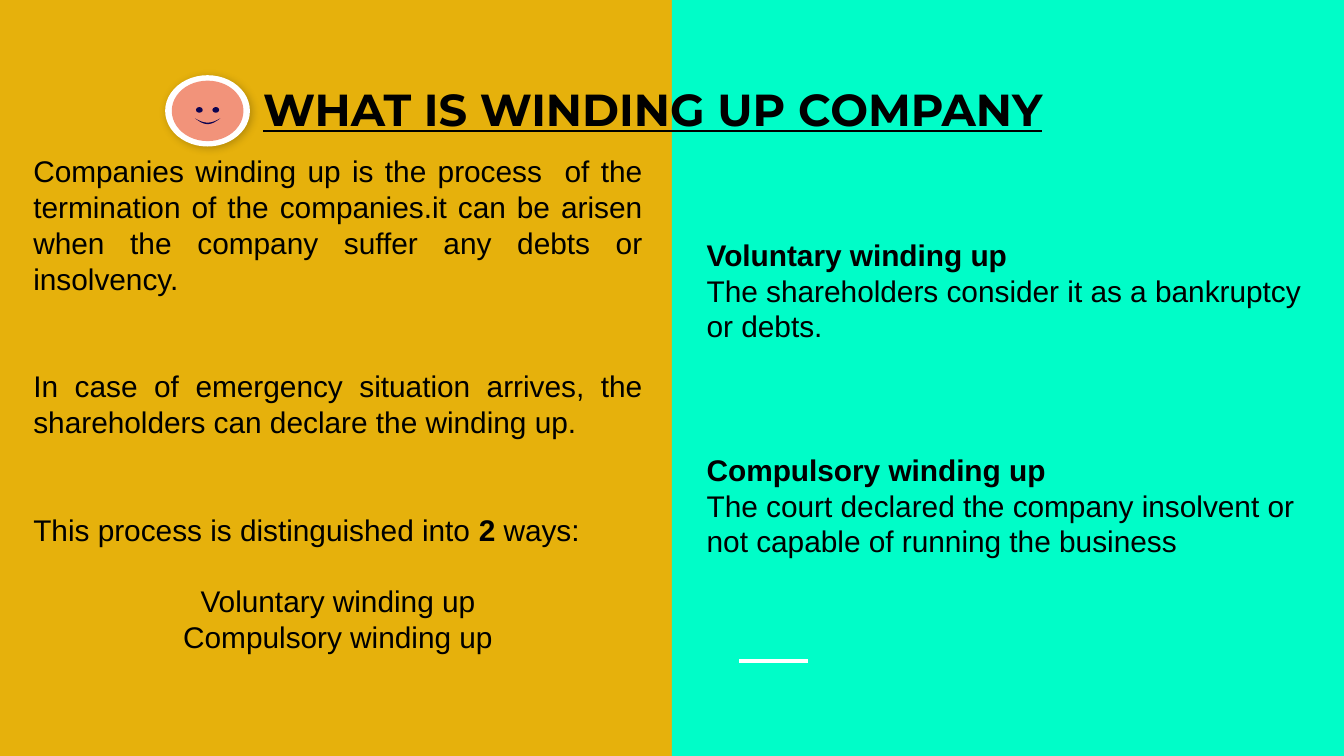
"""Build the slide on what winding up a company means."""
import math
import lxml.etree
import pptx
import pptx.dml.color
import pptx.enum.shapes
import pptx.enum.text
import pptx.oxml
import pptx.oxml.ns
import pptx.util

Pt = pptx.util.Pt
ALIGN = pptx.enum.text.PP_ALIGN
SHAPE = pptx.enum.shapes.MSO_SHAPE
NS = "http://schemas.openxmlformats.org/drawingml/2006/main"

WIDE, HIGH = 720, 405
SIZE, LINE = 16, 19.2
INK = {"gold": "E6B10C", "mint": "00FDC8", "white": "FFFFFF",
       "black": "000000", "skin": "F2937A", "navy": "0C0351"}

TITLE = "WHAT IS WINDING UP COMPANY"
# (alignment, blank lines above, [(text, bold), ...])
LEFT = [
    (ALIGN.JUSTIFY, 0, [("Companies winding up is the process  of the termination of the "
                         "companies.it can be arisen when the company suffer any debts or "
                         "insolvency.", False)]),
    (ALIGN.JUSTIFY, 2, [("In case of emergency situation arrives, the shareholders can "
                         "declare the winding up.", False)]),
    (ALIGN.JUSTIFY, 2, [("This process is distinguished into ", False), ("2", True),
                        (" ways:", False)]),
    (ALIGN.CENTER, 1, [("Voluntary winding up", False)]),
    (ALIGN.CENTER, 0, [("Compulsory winding up", False)]),
]
RIGHT = [
    (ALIGN.LEFT, 0, [("Voluntary winding up", True)]),
    (ALIGN.LEFT, 0, [("The shareholders consider it as a bankruptcy or debts.", False)]),
    (ALIGN.LEFT, 3, [("Compulsory winding up", True)]),
    (ALIGN.LEFT, 0, [("The court declared the company insolvent or not capable of running "
                      "the business", False)]),
]
TEXTS = [(RIGHT, (371.5, 123.1, 335.5, 181.4)), (LEFT, (10.8, 78.5, 340.6, 278.6))]
DISCS = [("white", 111.2, 59.4, 45.4, 38.2), ("skin", 111.2, 59.4, 38.4, 32.4),
         ("navy", 106.8, 58.9, 3.6, 3), ("navy", 115.6, 58.9, 3.6, 3)]
SMILE = {"left": 104.4, "top": 63.4, "width": 13.7, "outer": 3.1, "inner": 2.3}


def tint(name):
    return pptx.dml.color.RGBColor.from_string(INK[name])


def paint(shape, name):
    shape.shadow.inherit = False
    shape.fill.solid()
    shape.fill.fore_color.rgb = tint(name)
    shape.line.fill.background()
    return shape


def style(run, face, size, bold):
    run.font.name, run.font.size, run.font.bold = face, Pt(size), bold
    run.font.color.rgb = tint("black")


def add_text(slide, paras, box):
    frame = slide.shapes.add_textbox(*map(Pt, box)).text_frame
    frame.word_wrap = True
    for i, (align, gap, runs) in enumerate(paras):
        para = frame.add_paragraph() if i else frame.paragraphs[0]
        para.alignment = align
        para.line_spacing = Pt(LINE)
        para.space_before = Pt(gap * LINE)
        for text, bold in runs:
            run = para.add_run()
            run.text = text
            style(run, "Arial", SIZE, bold)


def add_title(slide):
    frame = slide.shapes.add_textbox(Pt(133.9), Pt(40.3), Pt(452.2), Pt(36)).text_frame
    frame.word_wrap = False
    frame.text = TITLE
    run = frame.paragraphs[0].runs[0]
    style(run, "Montserrat", 24, True)
    run.font.underline = True


def add_shade(shape):
    list_ = shape.element.spPr.find(pptx.oxml.ns.qn("a:effectLst"))
    list_.append(pptx.oxml.parse_xml(
        f'<a:outerShdw xmlns:a="{NS}" blurRad="{Pt(4.5)}" dist="{Pt(1.5)}" '
        f'dir="{49 * 60000}" algn="ctr" rotWithShape="0"><a:srgbClr val="{INK["black"]}">'
        '<a:alpha val="21000"/></a:srgbClr></a:outerShdw>'))


def add_face(slide):
    group = slide.shapes.add_group_shape().shapes
    for i, (name, x, y, wide, high) in enumerate(DISCS):
        box = (x - wide / 2, y - high / 2, wide, high)
        disc = paint(group.add_shape(SHAPE.OVAL, *map(Pt, box)), name)
        if i == 0:
            add_shade(disc)
    steps = [i / 16 for i in range(17)]
    curve = [(t, SMILE["outer"]) for t in steps] + [(t, SMILE["inner"]) for t in steps[::-1]]
    points = [(Pt(SMILE["left"] + SMILE["width"] * t),
               Pt(SMILE["top"] + deep * math.sin(math.pi * t))) for t, deep in curve]
    pen = group.build_freeform(*points[0], scale=1.0)
    pen.add_line_segments(points[1:], close=True)
    paint(pen.convert_to_shape(), "navy")


def add_dash(slide):
    dash = slide.shapes.add_connector(pptx.enum.shapes.MSO_CONNECTOR.STRAIGHT,
                                      Pt(396), Pt(354.2), Pt(432.7), Pt(354.2))
    dash.line.color.rgb = tint("white")
    dash.line.width = Pt(2.25)
    lxml.etree.SubElement(dash.element.spPr, pptx.oxml.ns.qn("a:effectLst"))


def main():
    deck = pptx.Presentation()
    deck.slide_width, deck.slide_height = Pt(WIDE), Pt(HIGH)
    slide = deck.slides.add_slide(deck.slide_layouts[6])
    slide.background.fill.solid()
    slide.background.fill.fore_color.rgb = tint("gold")
    half = (WIDE / 2, 0, WIDE / 2, HIGH)
    paint(slide.shapes.add_shape(SHAPE.RECTANGLE, *map(Pt, half)), "mint")
    add_dash(slide)
    for paras, box in TEXTS:
        add_text(slide, paras, box)
    add_title(slide)
    add_face(slide)
    deck.save("out.pptx")


if __name__ == "__main__":
    main()
